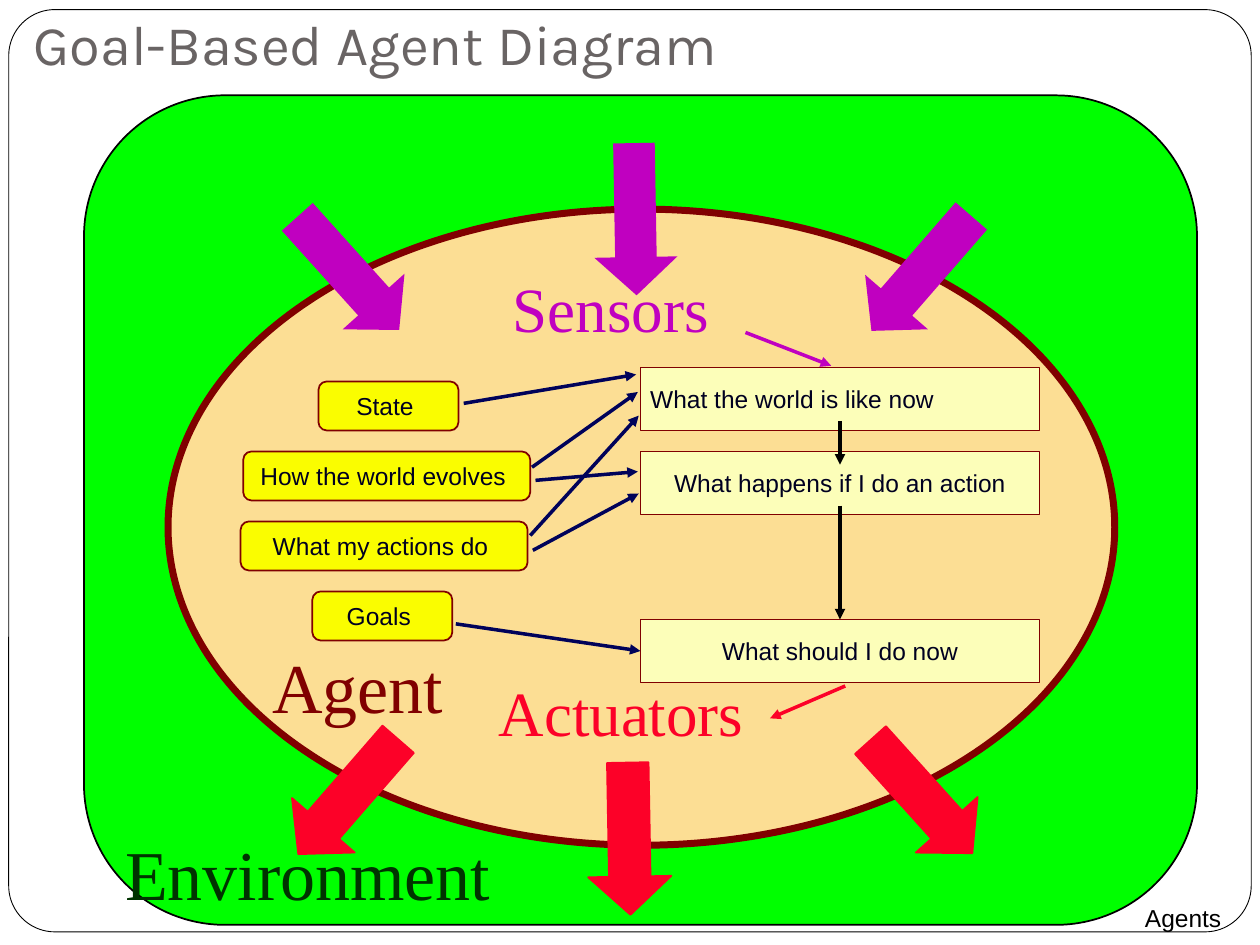
from dataclasses import dataclass
from typing import Any

from lxml import etree
from pptx import Presentation
from pptx.dml.color import RGBColor
from pptx.enum.shapes import MSO_CONNECTOR, MSO_SHAPE
from pptx.enum.text import MSO_ANCHOR, MSO_AUTO_SIZE, PP_ALIGN
from pptx.oxml.ns import qn
from pptx.util import Pt

RECT, ROUND = MSO_SHAPE.RECTANGLE, MSO_SHAPE.ROUNDED_RECTANGLE
OVAL, ARROW = MSO_SHAPE.OVAL, MSO_SHAPE.RIGHT_ARROW
LINE = MSO_CONNECTOR.STRAIGHT
LEFT, MID, RIGHT = PP_ALIGN.LEFT, PP_ALIGN.CENTER, PP_ALIGN.RIGHT
TOP, CENTER, BASE = MSO_ANCHOR.TOP, MSO_ANCHOR.MIDDLE, MSO_ANCHOR.BOTTOM
FIXED = MSO_AUTO_SIZE.NONE
SERIF, SANS = "Times New Roman", "Arial"

INK = {
    "white": "FFFFFF", "black": "000000", "gray": "696464", "green": "00FF00",
    "sand": "FCDE94", "maroon": "800000", "purple": "C000C0", "red": "FC0128",
    "cream": "FCFEB9", "yellow": "FAFD00", "navy": "00025A", "night": "000020",
    "forest": "003300",
}


@dataclass
class Form:
    kind: Any
    box: tuple
    fill: str
    edge: str = ""
    width: float = 1
    bends: tuple = ()
    turn: float = 0


@dataclass
class Label:
    text: str
    size: float
    ink: str
    font: str = SANS
    align: Any = LEFT
    anchor: Any = TOP
    pads: tuple = (3, 0, 3, 0)


@dataclass
class Link:
    start: tuple
    end: tuple
    ink: str
    goal: Any = None
    side: int = 0


def tint(name: str) -> RGBColor:
    return RGBColor.from_string(INK[name])


def put(item: Any, values: dict) -> None:
    for key, value in values.items():
        setattr(item, key, value)


def write(shape: Any, label: Label) -> None:
    frame = shape.text_frame
    left, top, right, base = map(Pt, label.pads)
    put(frame, {
        "text": label.text, "word_wrap": True, "auto_size": FIXED,
        "vertical_anchor": label.anchor, "margin_left": left,
        "margin_top": top, "margin_right": right, "margin_bottom": base,
    })
    para = frame.paragraphs[0]
    para.alignment = label.align
    font = para.runs[0].font
    put(font, {"name": label.font, "size": Pt(label.size)})
    font.color.rgb = tint(label.ink)


def draw(slide: Any, form: Form) -> Any:
    shape = slide.shapes.add_shape(form.kind, *map(Pt, form.box))
    shape.shadow.inherit = False
    shape.rotation = form.turn
    for spot, bend in enumerate(form.bends):
        shape.adjustments[spot] = bend
    shape.fill.solid()
    shape.fill.fore_color.rgb = tint(form.fill)
    if form.edge:
        shape.line.color.rgb = tint(form.edge)
        shape.line.width = Pt(form.width)
    else:
        shape.line.fill.background()
    return shape


def note(slide: Any, box: tuple, label: Label) -> None:
    write(slide.shapes.add_textbox(*map(Pt, box)), label)


def join(slide: Any, link: Link) -> None:
    wire = slide.shapes.add_connector(LINE, *map(Pt, link.start + link.end))
    if link.goal is not None:
        wire.end_connect(link.goal, link.side)
    wire.line.color.rgb = tint(link.ink)
    wire.line.width = Pt(2)
    etree.SubElement(wire.line._get_or_add_ln(), qn("a:tailEnd"), type="triangle")
    etree.SubElement(wire._element.spPr, qn("a:effectLst"))


def main() -> None:
    deck = Presentation()
    put(deck, {"slide_width": Pt(720), "slide_height": Pt(540)})
    slide = deck.slides.add_slide(deck.slide_layouts[5])

    title = slide.shapes.title
    put(title, {"left": Pt(12), "top": Pt(-36), "width": Pt(678), "height": Pt(87)})
    write(title, Label("Goal-Based Agent Diagram", 32, "gray", "Karla",
                       anchor=BASE, pads=(7.2, 3.6, 10, 7.2)))

    frame = draw(slide, Form(ROUND, (5, 5.5, 710, 527), "white", "black", 0.5, (0.05,)))
    tree = slide.shapes._spTree
    tree.remove(frame._element)
    tree.insert(2, frame._element)
    note(slide, (474.5, 516, 235, 24),
         Label("Agents", 14, "black", align=RIGHT, pads=(0, 0, 11.5, 0)))

    draw(slide, Form(ROUND, (48, 54.5, 636, 474), "green", "black", 1, (0.17,)))
    draw(slide, Form(OVAL, (96, 119.5, 541, 363.5), "sand", "maroon", 4))

    for x, y, turn, ink, edge in (
        (483, 132.5, 131, "purple", ""),
        (155.5, 132.5, 48, "purple", ""),
        (319.5, 101.5, 89, "purple", ""),
        (483, 431.5, 48, "red", "red"),
        (155.5, 431.5, 131, "red", "red"),
        (316, 455.5, 89, "red", "red"),
    ):
        draw(slide, Form(ARROW, (x, y, 87, 47.5), ink, edge, 1, (0.5, 0.46), turn))

    for text, box, size, ink in (
        ("Sensors", (290, 154, 138, 43), 36, "purple"),
        ("Actuators", (282, 385, 171, 43), 36, "red"),
        ("Agent", (152.5, 368, 117, 48), 40, "maroon"),
        ("Environment", (68.5, 474.5, 259, 48), 40, "forest"),
    ):
        note(slide, box, Label(text, size, ink, SERIF))

    steps = []
    for text, row, align in (
        ("What the world is like now", 0, LEFT),
        ("What happens if I do an action", 1, MID),
        ("What should I do now", 3, MID),
    ):
        step = draw(slide, Form(RECT, (366, 210 + 48 * row, 228, 36), "cream", "maroon"))
        write(step, Label(text, 14, "night", align=align, anchor=CENTER, pads=(5.5, 0, 5.5, 0)))
        steps.append(step)

    for row, (text, x, width) in enumerate((
        ("State", 182, 80),
        ("How the world evolves", 139, 164),
        ("What my actions do", 137.5, 164),
        ("Goals", 178.5, 80),
    )):
        fact = draw(slide, Form(ROUND, (x, 218 + 40 * row, width, 28),
                                "yellow", "maroon", 1, (0.17,)))
        write(fact, Label(text, 14, "night", align=MID, anchor=CENTER, pads=(3, 3, 7, 3)))

    last = steps[-1]
    for link in (
        Link((426, 190), (475, 209), "purple"),
        Link((480, 240.5), (480, 265.5), "black"),
        Link((480, 289), (480, 354), "black", last, 0),
        Link((483, 392), (440, 410.5), "red"),
        Link((265, 230.5), (363.5, 214), "navy"),
        Link((260.5, 356.5), (366, 372), "navy", last, 1),
        Link((304, 267), (364.5, 224), "navy"),
        Link((306, 274.5), (364.5, 269.5), "navy"),
        Link((303, 306), (365, 237.5), "navy"),
        Link((304.5, 314.5), (365, 282), "navy"),
    ):
        join(slide, link)

    deck.save("out.pptx")


if __name__ == "__main__":
    main()
